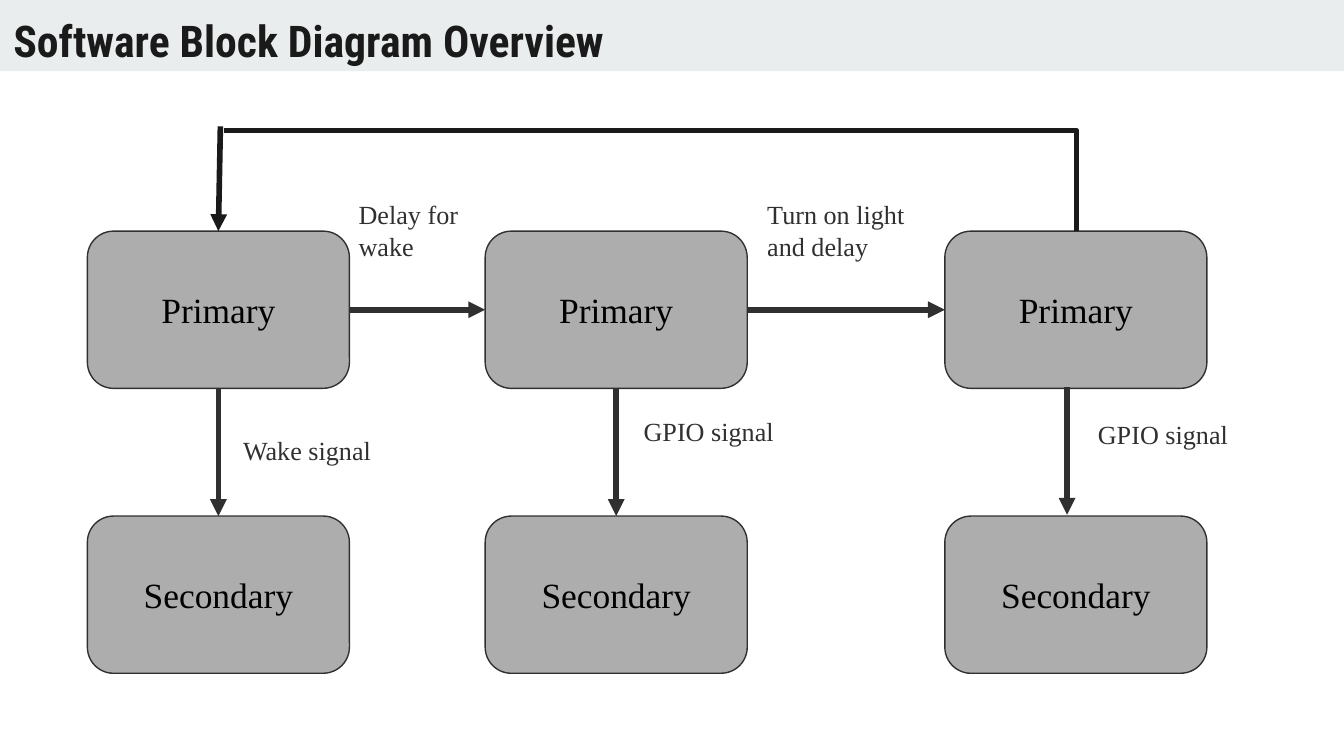
from pptx import Presentation
from pptx.dml.color import RGBColor
from pptx.enum.shapes import MSO_CONNECTOR as Link, MSO_SHAPE as Kind
from pptx.enum.text import MSO_ANCHOR as Anchor, PP_ALIGN as Align
from pptx.oxml.ns import qn
from pptx.util import Inches, Pt
from lxml.etree import SubElement

BAND = RGBColor(0xE9, 0xED, 0xEE)
GREY = RGBColor(0xAD, 0xAD, 0xAD)
DARK = RGBColor(0x30, 0x30, 0x30)
INK = RGBColor(0x1A, 0x1A, 0x1A)
BLACK = RGBColor(0, 0, 0)
SERIF = "Times New Roman"

TITLE = "Software Block Diagram Overview"
COLS = [0.65, 3.61, 7.03]
ROWS = [("Primary", 1.72), ("Secondary", 3.84)]
WIDE, HIGH = 1.95, 1.17
LABELS = [
    ("Wake signal", 1.71, 3.13, 2.08, 0.44),
    ("GPIO signal", 4.69, 2.99, 2.08, 0.44),
    ("GPIO signal", 8.07, 3.01, 1.28, 0.44),
    ("Delay for wake", 2.57, 1.38, 1.07, 0.67),
    ("Turn on light and delay", 5.61, 1.38, 1.38, 0.67),
]
TOP, LEFT, BOTTOM, RIGHT = range(4)

deck = Presentation()
deck.slide_width = Inches(10)
deck.slide_height = Inches(10 * 9 / 16)
slide = deck.slides.add_slide(deck.slide_layouts[5])
shapes = slide.shapes


def add_shape(kind, x, y, w, h, fill):
    shape = shapes.add_shape(kind, *map(Inches, (x, y, w, h)))
    shape.shadow.inherit = False
    shape.fill.solid()
    shape.fill.fore_color.rgb = fill
    return shape


def set_text(shape, text, size, color, font=SERIF, bold=False,
             align=Align.LEFT, anchor=Anchor.TOP):
    frame = shape.text_frame
    frame.word_wrap = True
    frame.vertical_anchor = anchor
    frame.margin_left = frame.margin_right = Inches(0.1)
    frame.margin_top = frame.margin_bottom = Inches(0.1)
    frame.text = text
    para = frame.paragraphs[0]
    para.alignment = align
    para.font.size, para.font.name = Pt(size), font
    para.font.bold, para.font.color.rgb = bold, color


def add_line(start, end, color=DARK, kind=Link.STRAIGHT, arrow=True):
    line = shapes.add_connector(kind, *map(Inches, (*start, *end)))
    line.line.color.rgb = color
    line.line.width = Pt(3)
    if arrow:
        SubElement(line.line._get_or_add_ln(), qn("a:tailEnd"), type="triangle")
    SubElement(line._element.spPr, qn("a:effectLst"))
    return line


def join(first, side, second, other):
    line = add_line((0, 0), (1, 1))
    line.begin_connect(first, side)
    line.end_connect(second, other)


def add_bend(start, end):
    (x1, y1), (x2, y2) = start, end
    midx, midy = (x1 + x2) / 2, (y1 + y2) / 2
    w, h = y1 - y2, x1 - x2
    line = add_line((midx + w / 2, midy - h / 2), (midx - w / 2, midy + h / 2),
                    INK, Link.ELBOW, arrow=False)
    line._element.spPr.find(qn("a:prstGeom")).set("prst", "bentConnector2")
    line._element.spPr.find(qn("a:xfrm")).set("rot", str(90 * 60000))


band = add_shape(Kind.RECTANGLE, 0, 0, 10, 0.53, BAND)
band.line.fill.background()
title = shapes.title
title.left, title.top, title.width, title.height = map(Inches, (0, 0, 8.41, 0.59))
set_text(title, TITLE, 23.4, INK, "Roboto Condensed", True)
band._element.addnext(title._element)

grid = []
for x in COLS:
    pair = []
    for name, y in ROWS:
        box = add_shape(Kind.ROUNDED_RECTANGLE, x, y, WIDE, HIGH, GREY)
        box.line.color.rgb, box.line.width = DARK, Pt(0.75)
        set_text(box, name, 19, BLACK, align=Align.CENTER, anchor=Anchor.MIDDLE)
        pair.append(box)
    grid.append(pair)

for upper, lower in grid[:2]:
    join(upper, BOTTOM, lower, TOP)
add_line((7.94, 2.88), (7.94, 3.83))
for (near, _), (far, _) in zip(grid, grid[1:]):
    join(near, RIGHT, far, LEFT)

add_bend((8.01, 1.72), (1.67, 0.97))
back = add_line((1.64, 0.94), (1.63, 1.72), INK)
back.end_connect(grid[0][0], TOP)

for text, *place in LABELS:
    set_text(shapes.add_textbox(*map(Inches, place)), text, 14, DARK)

deck.save("out.pptx")
